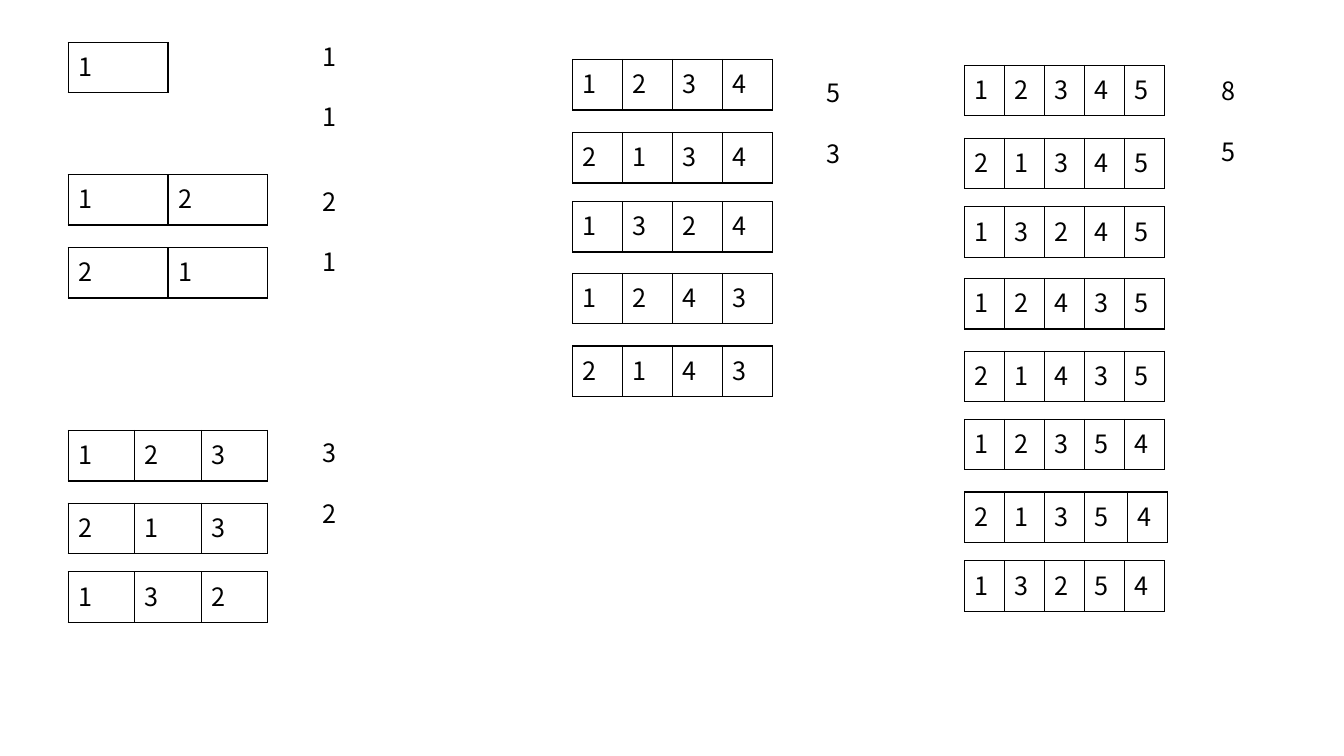
"""Build the slide of adjacent-swap arrangements and their counts."""
import pptx
import pptx.dml.color
import pptx.enum.text
import pptx.oxml
import pptx.oxml.ns
import pptx.util
from pptx.util import Cm

COLORS = {"ink": "000000", "paper": "FFFFFF"}
FONT = "Noto Sans CJK KR"
ROW_WIDTH, ROW_HEIGHT = 5.03, 1.27


def write(paragraph, text, size=18, color="ink", **spacing):
    run = paragraph.add_run()
    run.text = text
    run.font.size = pptx.util.Pt(size)
    run.font.name = FONT
    run.font.color.rgb = pptx.dml.color.RGBColor.from_string(COLORS[color])
    for name, points in spacing.items():
        setattr(paragraph, name, pptx.util.Pt(points))


def outline(cell):
    for side in ("lnL", "lnR", "lnT", "lnB"):
        cell._tc.get_or_add_tcPr().append(pptx.oxml.parse_xml(
            f'<a:{side} {pptx.oxml.ns.nsdecls("a")} w="12700"><a:solidFill>'
            f'<a:srgbClr val="{COLORS["ink"]}"/></a:solidFill></a:{side}>'))
    cell.fill.background()


deck = pptx.Presentation()
deck.slide_width, deck.slide_height = Cm(33.87), Cm(19.05)
slide = deck.slides.add_slide(deck.slide_layouts[6])
slide.background.fill.solid()
slide.background.fill.fore_color.rgb = pptx.dml.color.RGBColor.from_string(COLORS["paper"])

arrangements = [
    (1.72, [(1.07, "1")]),
    (1.72, [(4.4, "12"), (6.24, "21")]),
    (1.72, [(10.85, "123"), (12.68, "213"), (14.41, "132")]),
    (14.43, [(1.5, "1234"), (3.34, "2134"), (5.08, "1324"), (6.89, "1243"), (8.72, "2143")]),
    (24.31, [(1.65, "12345"), (3.48, "21345"), (5.21, "13245"), (7.02, "12435"),
             (8.85, "21435"), (10.57, "12354"), (12.4, "21354"), (14.13, "13254")]),
]
for left, rows in arrangements:
    for top, digits in rows:
        width = ROW_WIDTH / max(len(digits), 2)
        frame = slide.shapes.add_table(1, len(digits), Cm(left), Cm(top),
                                       Cm(width * len(digits)), Cm(ROW_HEIGHT))
        row = frame.table
        row.first_row = row.horz_banding = False
        for column, digit in enumerate(digits):
            row.columns[column].width = Cm(width)
            write(row.cell(0, column).text_frame.paragraphs[0], digit)
            outline(row.cell(0, column))
        if digits == "21354":
            row.columns[3].width = Cm(width + 0.08)

counts = [(7.87, 0.91, "11"), (7.87, 4.57, "21"), (7.87, 10.9, "32"),
          (20.57, 1.83, "53"), (30.53, 1.78, "85")]
for left, top, (total, fixed_last) in counts:
    box = slide.shapes.add_textbox(Cm(left), Cm(top), Cm(0.86), Cm(2.57))
    box.text_frame.word_wrap = False
    box.text_frame.auto_size = pptx.enum.text.MSO_AUTO_SIZE.SHAPE_TO_FIT_TEXT
    write(box.text_frame.paragraphs[0], total, line_spacing=21.6)
    write(box.text_frame.add_paragraph(), fixed_last, line_spacing=21.6, space_before=21.6)

deck.save("out.pptx")
